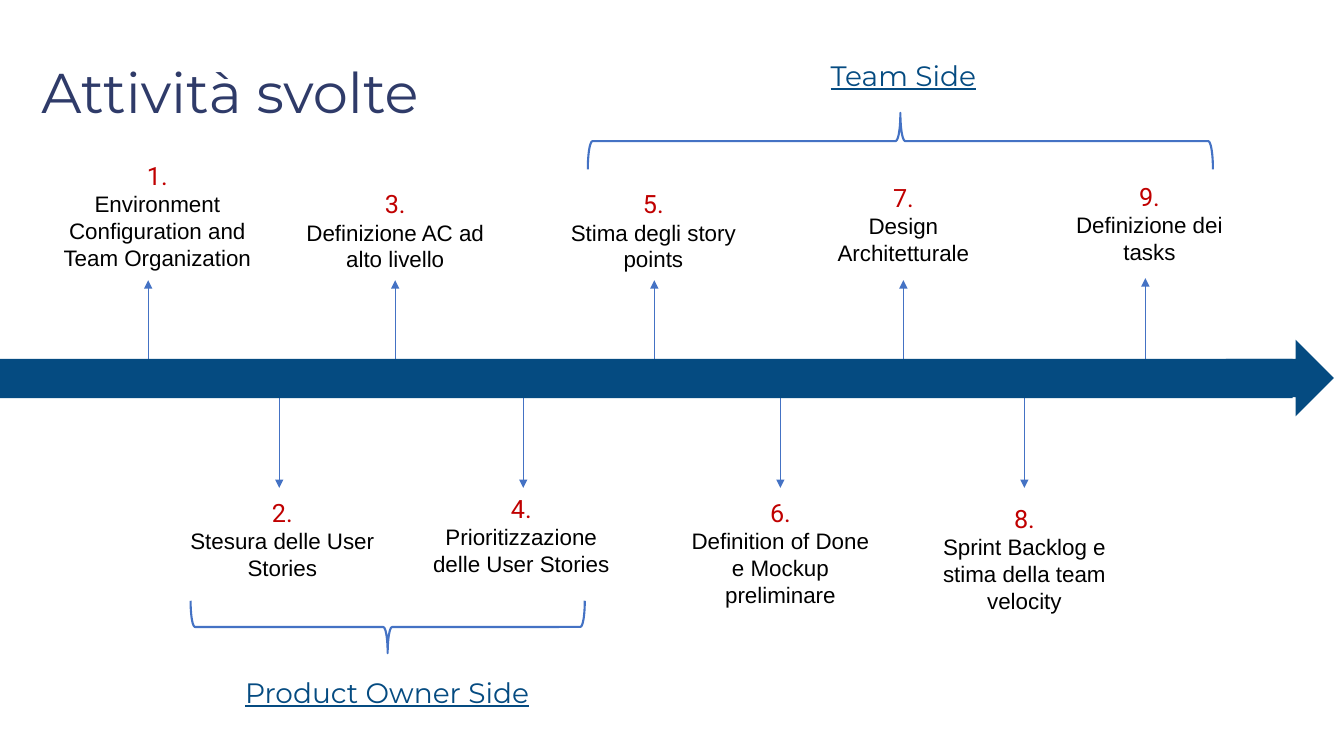
import pptx
import pptx.util
import pptx.dml.color
import pptx.enum.shapes
import pptx.enum.text
import pptx.oxml.ns
import lxml.etree
from dataclasses import dataclass

PX = 9144  # EMU per px, 100 px to the inch
SHAPE = pptx.enum.shapes.MSO_SHAPE
ALIGN = pptx.enum.text.PP_ALIGN


@dataclass(frozen=True)
class Theme:
    title: str = "2F3B69"
    bar: str = "054B81"
    line: str = "4472C4"
    number: str = "C00000"
    text: str = "000000"
    heading_font: str = "Montserrat"
    number_font: str = "Roboto"
    body_font: str = "Arial"
    title_size: int = 40
    side_size: int = 20
    number_size: int = 18
    body_size: int = 16


THEME = Theme()

# number, activity, box (left, top, width, height), stem x, stem start y, stem tip y
STEPS = [
    ("1.", "Environment Configuration and Team Organization", (32, 154, 248, 121), 147, 375, 278),
    ("2.", "Stesura delle User Stories", (176, 488, 208, 94), 277, 394, 484),
    ("3.", "Definizione AC ad alto livello", (288, 182, 208, 94), 392, 375, 278),
    ("4.", "Prioritizzazione delle User Stories", (413, 484, 208, 94), 519, 394, 484),
    ("5.", "Stima degli story points", (544, 182, 208, 94), 649, 375, 278),
    ("6.", "Definition of Done e Mockup preliminare", (670, 488, 208, 121), 774, 394, 484),
    ("7.", "Design Architetturale", (792, 176, 208, 94), 896, 375, 278),
    ("8.", "Sprint Backlog e stima della team velocity", (912, 494, 208, 121), 1016, 394, 484),
    ("9.", "Definizione dei tasks", (1036, 175, 208, 94), 1136, 373, 276),
]

# label, label box, visible brace box, brace rotation
SIDES = [
    ("Team Side", (734, 53, 324, 44), (583, 112, 620, 56), 90),
    ("Product Owner Side", (222, 665, 324, 44), (189, 596, 391, 52), 270),
]


def emu(*lengths):
    return [pptx.util.Emu(round(n * PX)) for n in lengths]


def rgb(color):
    return pptx.dml.color.RGBColor.from_string(color)


def add_run(p, text, font, size, color, underline=None):
    r = p.add_run()
    r.text = text
    r.font.name = font
    r.font.size = pptx.util.Pt(size)
    r.font.color.rgb = rgb(color)
    r.font.underline = underline


def add_text(s, box):
    tf = s.shapes.add_textbox(*emu(*box)).text_frame
    tf.word_wrap = True
    tf.paragraphs[0].alignment = ALIGN.CENTER
    return tf


def add_title(s, box, text):
    sp = s.shapes.title
    sp.left, sp.top, sp.width, sp.height = emu(*box)
    tf = sp.text_frame
    tf.auto_size = pptx.enum.text.MSO_AUTO_SIZE.NONE
    tf.vertical_anchor = pptx.enum.text.MSO_ANCHOR.MIDDLE
    p = tf.paragraphs[0]
    p.alignment = ALIGN.LEFT
    p.line_spacing = 0.9
    add_run(p, text, THEME.heading_font, THEME.title_size, THEME.title)


def add_timeline(s, box):
    # Bar with an arrowhead overlapping its right end
    x, y, w, h = box
    parts = [(SHAPE.RECTANGLE, (x, y, w - 41, h)),
             (SHAPE.RIGHT_ARROW, (x + w - 107, y - 19, 107, 76))]
    for kind, part in parts:
        sp = s.shapes.add_shape(kind, *emu(*part))
        sp.shadow.inherit = False
        sp.fill.solid()
        sp.fill.fore_color.rgb = rgb(THEME.bar)
        sp.line.fill.background()


def add_stem(s, x, start, tip):
    stem = s.shapes.add_connector(
        pptx.enum.shapes.MSO_CONNECTOR.STRAIGHT, *emu(x, start, x, tip))
    stem.line.color.rgb = rgb(THEME.line)
    stem.line.width = pptx.util.Pt(0.5)
    qn = pptx.oxml.ns.qn
    lxml.etree.SubElement(stem.line._get_or_add_ln(), qn("a:tailEnd"), type="triangle")
    lxml.etree.SubElement(stem._element.spPr, qn("a:effectLst"))


def add_step(s, box, number, activity):
    tf = add_text(s, box)
    add_run(tf.paragraphs[0], number, THEME.number_font, THEME.number_size, THEME.number)
    p = tf.add_paragraph()
    p.alignment = ALIGN.CENTER
    add_run(p, activity, THEME.body_font, THEME.body_size, THEME.text)


def add_brace(s, box, rotation):
    # The unrotated brace is upright and shares the centre of the box
    x, y, w, h = box
    shift = (w - h) / 2
    sp = s.shapes.add_shape(SHAPE.LEFT_BRACE, *emu(x + shift, y - shift, h, w))
    sp.rotation = rotation
    sp.shadow.inherit = False
    sp.fill.background()
    sp.line.color.rgb = rgb(THEME.line)
    sp.line.width = pptx.util.Pt(1.5)


def add_side(s, label_box, brace_box, label, rotation):
    add_brace(s, brace_box, rotation)
    tf = add_text(s, label_box)
    add_run(tf.paragraphs[0], label, THEME.heading_font, THEME.side_size, THEME.bar, True)


def main():
    prs = pptx.Presentation()
    prs.slide_width, prs.slide_height = emu(1333, 750)
    s = prs.slides.add_slide(prs.slide_layouts[5])

    add_title(s, (31, 22, 486, 145), "Attività svolte")

    # Stems first, so the bar covers their ends
    for number, activity, box, x, start, tip in STEPS:
        add_stem(s, x, start, tip)
    add_timeline(s, (0, 356, 1323, 39))

    # Activities above and below the bar
    for number, activity, box, x, start, tip in STEPS:
        add_step(s, box, number, activity)

    # Braces grouping the activities by side
    for label, label_box, brace_box, rotation in SIDES:
        add_side(s, label_box, brace_box, label, rotation)

    prs.save("out.pptx")


if __name__ == "__main__":
    main()
